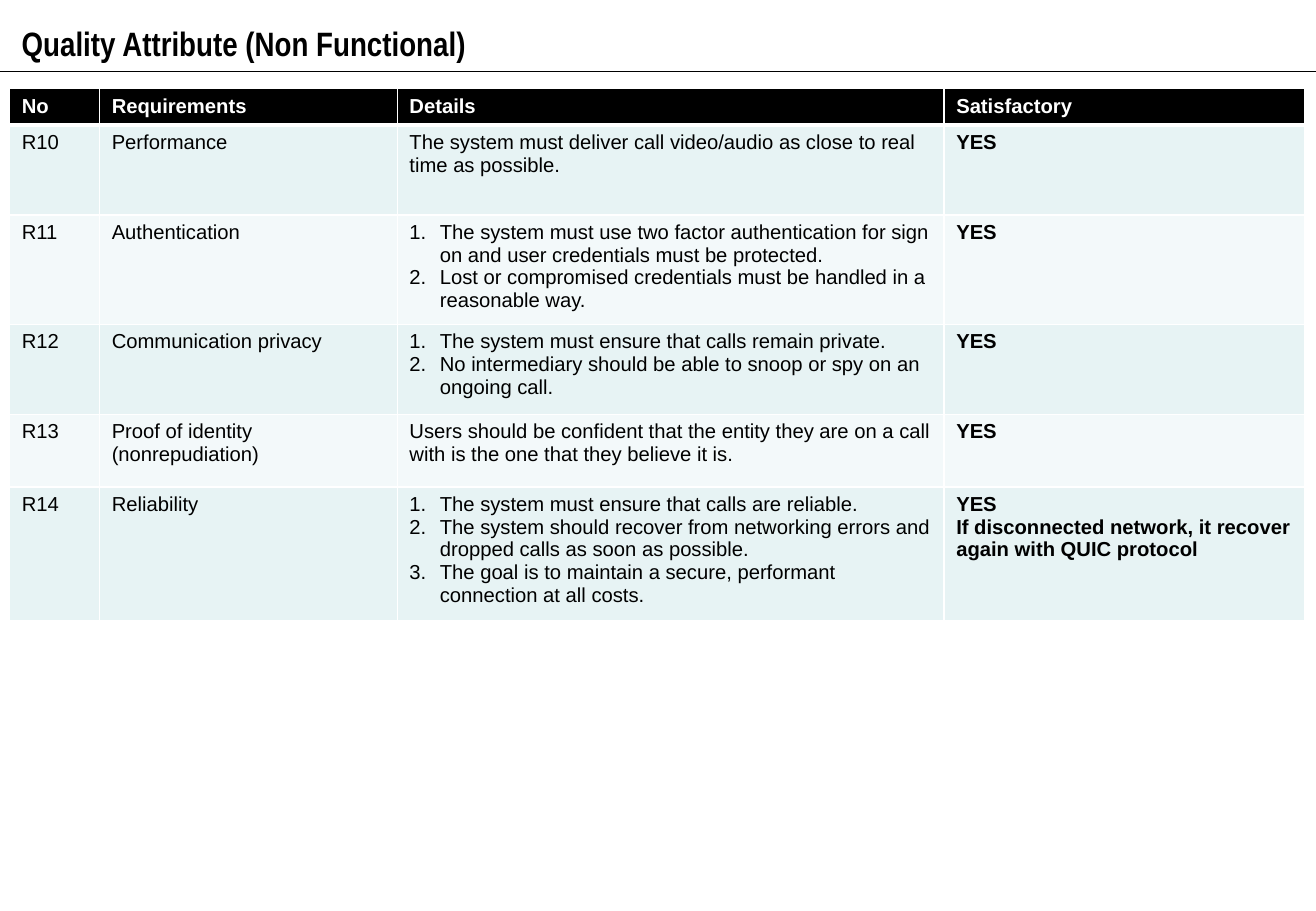
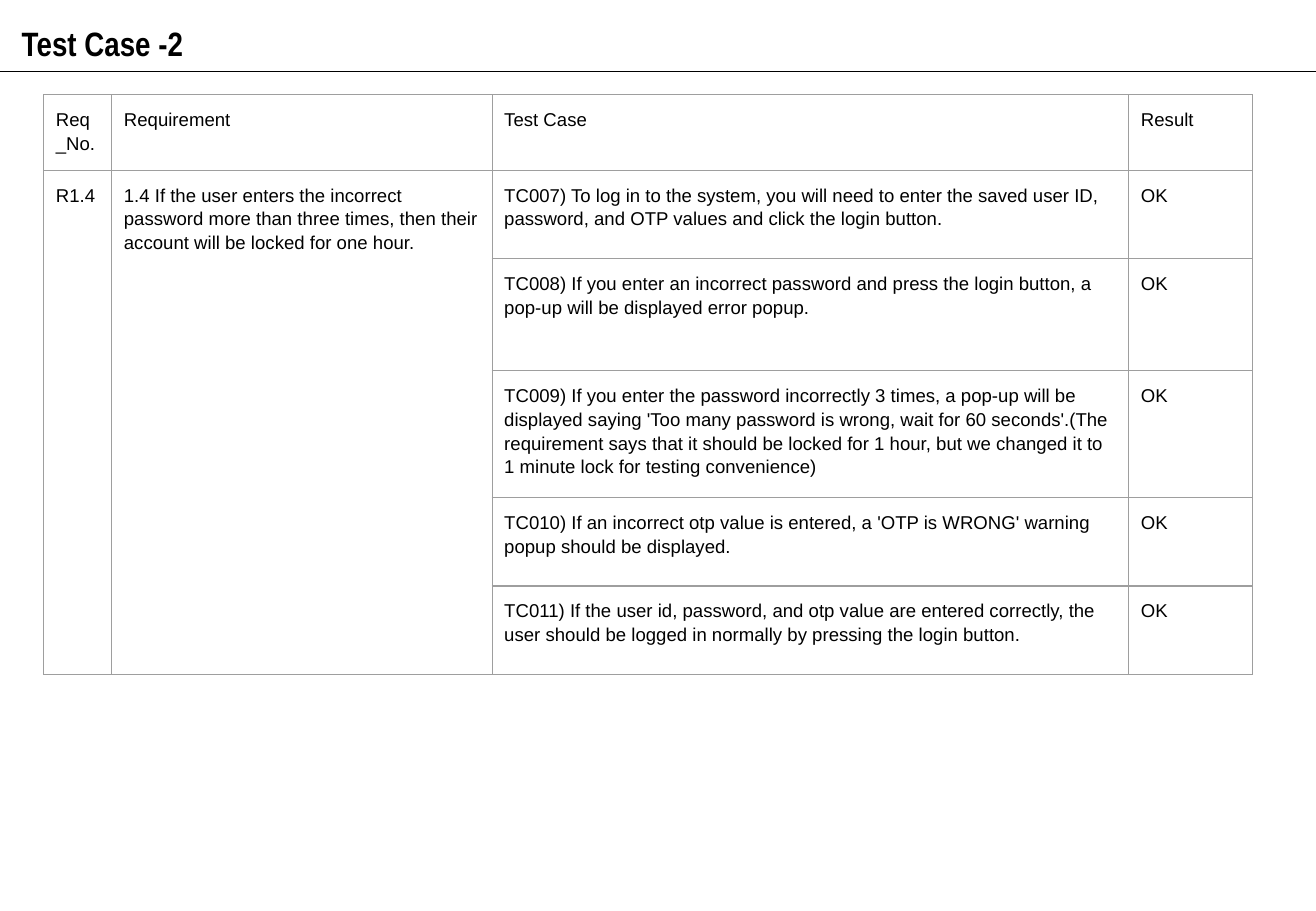
from dataclasses import dataclass

from lxml.etree import SubElement
from pptx import Presentation
from pptx.dml.color import RGBColor
from pptx.enum.shapes import MSO_CONNECTOR
from pptx.enum.text import MSO_AUTO_SIZE
from pptx.oxml.ns import qn
from pptx.util import Inches, Pt


@dataclass(frozen=True)
class Theme:
    ink: str = "000000"
    paper: str = "FFFFFF"
    band_dark: str = "E7F3F4"
    band_light: str = "F3F9FA"
    grid: str = "9E9E9E"
    title_font: str = "Arial Narrow"
    body_font: str = "Arial"
    title_size: float = 20
    quality_size: float = 12
    test_size: float = 11


THEME = Theme()
SLIDE_WIDTH, SLIDE_HEIGHT = 10.83, 7.5
RULE_TOP = 0.59
TITLE_BOX = (0.08, 0.07, 7.81, 0.44)

QUALITY_COLUMNS = [0.74, 2.45, 4.5, 2.97]
QUALITY_HEIGHTS = [0.29, 0.74, 0.9, 0.74, 0.6, 1.09]
QUALITY_ROWS = [
    ["No", "Requirements", "Details", "Satisfactory"],
    ["R10", "Performance",
     "The system must deliver call video/audio as close to real time as possible.", "YES"],
    ["R11", "Authentication",
     ["The system must use two factor authentication for sign on and user credentials "
      "must be protected.",
      "Lost or compromised credentials must be handled in a reasonable way."], "YES"],
    ["R12", "Communication privacy",
     ["The system must ensure that calls remain private.",
      "No intermediary should be able to snoop or spy on an ongoing call."], "YES"],
    ["R13", "Proof of identity (nonrepudiation)",
     "Users should be confident that the entity they are on a call with is the one "
     "that they believe it is.", "YES"],
    ["R14", "Reliability",
     ["The system must ensure that calls are reliable.",
      "The system should recover from networking errors and dropped calls as soon as possible.",
      "The goal is to maintain a secure, performant connection at all costs."],
     "YES\vIf disconnected network, it recover again with QUIC protocol"],
]

TEST_COLUMNS = [0.56, 3.13, 5.24, 1.02]
TEST_HEIGHTS = [0.61, 0.73, 0.92, 1.04, 0.73, 0.73]
TEST_HEADER = ["Req_No.", "Requirement", "Test Case", "Result"]
TEST_REQUIREMENT = [
    "R1.4",
    "1.4 If the user enters the incorrect password more than three times, then their "
    "account will be locked for one hour.",
]
TEST_CASES = [
    "TC007) To log in to the system, you will need to enter the saved user ID, password, "
    "and OTP values and click the login button.",
    "TC008) If you enter an incorrect password and press the login button, a pop-up will "
    "be displayed error popup.",
    "TC009) If you enter the password incorrectly 3 times, a pop-up will be displayed "
    "saying 'Too many password is wrong, wait for 60 seconds'.(The requirement says that "
    "it should be locked for 1 hour, but we changed it to 1 minute lock for testing "
    "convenience)",
    "TC010) If an incorrect otp value is entered, a 'OTP is WRONG' warning popup should "
    "be displayed.",
    "TC011) If the user id, password, and otp value are entered correctly, the user should "
    "be logged in normally by pressing the login button.",
]


def set_font(paragraph, name, size, color, bold=False):
    font = paragraph.font
    font.name, font.size, font.bold = name, Pt(size), bold
    font.color.rgb = RGBColor.from_string(color)


def add_color(parent, tag, color):
    SubElement(SubElement(parent, qn(tag)), qn("a:srgbClr")).set("val", color)


def number_paragraph(paragraph):
    properties = paragraph._p.get_or_add_pPr()
    properties.set("marL", str(Inches(0.25)))
    properties.set("indent", str(Inches(-0.25)))
    add_color(properties, "a:buClr", THEME.ink)
    SubElement(properties, qn("a:buAutoNum")).set("type", "arabicPeriod")


def set_borders(cell, color, width, bottom_width=None):
    properties = cell._tc.get_or_add_tcPr()
    for side in "LRTB":
        weight = bottom_width if side == "B" and bottom_width else width
        edge = SubElement(properties, qn(f"a:ln{side}"))
        edge.set("w", str(Pt(weight)))
        add_color(edge, "a:solidFill", color)


def fill_cell(cell, color):
    if color is None:
        cell.fill.background()
    else:
        cell.fill.solid()
        cell.fill.fore_color.rgb = RGBColor.from_string(color)


def write_cell(cell, content, size, color, bold=False, spacing=None, inset=0.05):
    cell.margin_left = cell.margin_right = Inches(0.1)
    cell.margin_top = cell.margin_bottom = Inches(inset)
    numbered = isinstance(content, list)
    frame = cell.text_frame
    for index, line in enumerate(content if numbered else [content]):
        paragraph = frame.add_paragraph() if index else frame.paragraphs[0]
        paragraph.text = line
        if numbered:
            number_paragraph(paragraph)
        if spacing:
            paragraph.line_spacing = spacing
        set_font(paragraph, THEME.body_font, size, color, bold)


def add_grid(slide, left, top, widths, heights):
    table = slide.shapes.add_table(
        len(heights), len(widths), Inches(left), Inches(top),
        Inches(sum(widths)), Inches(sum(heights))).table
    table.first_row = table.horz_banding = False
    for column, width in zip(table.columns, widths):
        column.width = Inches(width)
    for row, height in zip(table.rows, heights):
        row.height = Inches(height)
    return table


def add_titled_slide(deck, title):
    slide = deck.slides.add_slide(deck.slide_layouts[6])
    slide.background.fill.solid()
    slide.background.fill.fore_color.rgb = RGBColor.from_string(THEME.paper)
    rule = slide.shapes.add_connector(
        MSO_CONNECTOR.STRAIGHT, 0, Inches(RULE_TOP), Inches(SLIDE_WIDTH), Inches(RULE_TOP))
    rule.line.color.rgb = RGBColor.from_string(THEME.ink)
    rule.line.width = Pt(0.75)
    SubElement(rule._element.spPr, qn("a:effectLst"))
    heading = slide.shapes.add_textbox(*map(Inches, TITLE_BOX)).text_frame
    heading.word_wrap = True
    heading.auto_size = MSO_AUTO_SIZE.SHAPE_TO_FIT_TEXT
    paragraph = heading.paragraphs[0]
    paragraph.text = title
    paragraph.line_spacing = 1.2
    set_font(paragraph, THEME.title_font, THEME.title_size, THEME.ink, True)
    return slide


def add_quality_table(slide, left, top):
    table = add_grid(slide, left, top, QUALITY_COLUMNS, QUALITY_HEIGHTS)
    verdict_column = len(QUALITY_COLUMNS) - 1
    for r, row in enumerate(QUALITY_ROWS):
        header = r == 0
        band = THEME.band_dark if r % 2 else THEME.band_light
        for c, content in enumerate(row):
            cell = table.cell(r, c)
            set_borders(cell, THEME.paper, 1, 3 if header else None)
            fill_cell(cell, THEME.ink if header else band)
            write_cell(cell, content, THEME.quality_size,
                       THEME.paper if header else THEME.ink,
                       header or c == verdict_column)


def add_test_table(slide, left, top):
    table = add_grid(slide, left, top, TEST_COLUMNS, TEST_HEIGHTS)
    for c in range(len(TEST_REQUIREMENT)):
        table.cell(1, c).merge(table.cell(len(TEST_CASES), c))
    rows = [TEST_HEADER] + [[*TEST_REQUIREMENT, case, "OK"] for case in TEST_CASES]
    for r, row in enumerate(rows):
        for c, content in enumerate(row):
            cell = table.cell(r, c)
            set_borders(cell, THEME.grid, 0.75)
            fill_cell(cell, None)
            if not cell.is_spanned:
                write_cell(cell, content, THEME.test_size, THEME.ink,
                           spacing=1.15, inset=0.1)


def main():
    deck = Presentation()
    deck.slide_width, deck.slide_height = Inches(SLIDE_WIDTH), Inches(SLIDE_HEIGHT)
    add_quality_table(add_titled_slide(deck, "Quality Attribute (Non Functional)"), 0.08, 0.73)
    add_test_table(add_titled_slide(deck, "Test Case -2"), 0.36, 0.78)
    deck.save("out.pptx")


if __name__ == "__main__":
    main()
